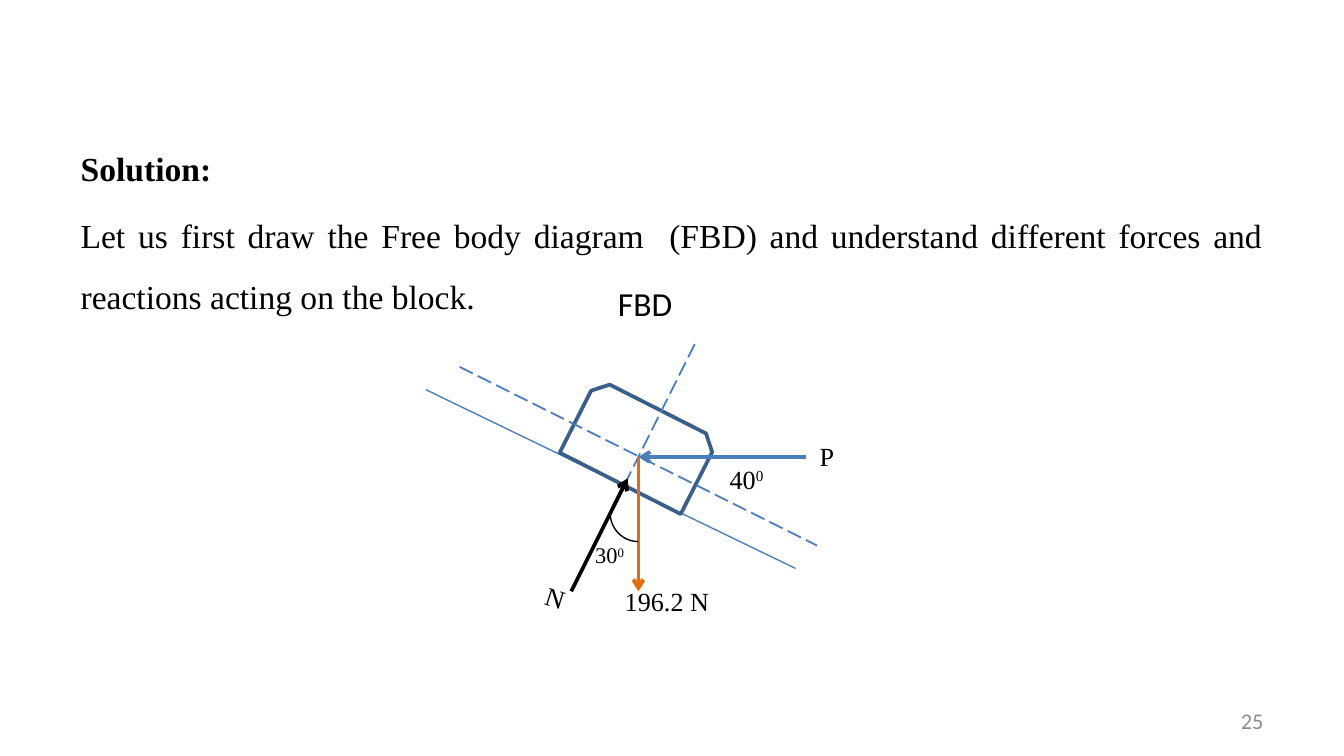
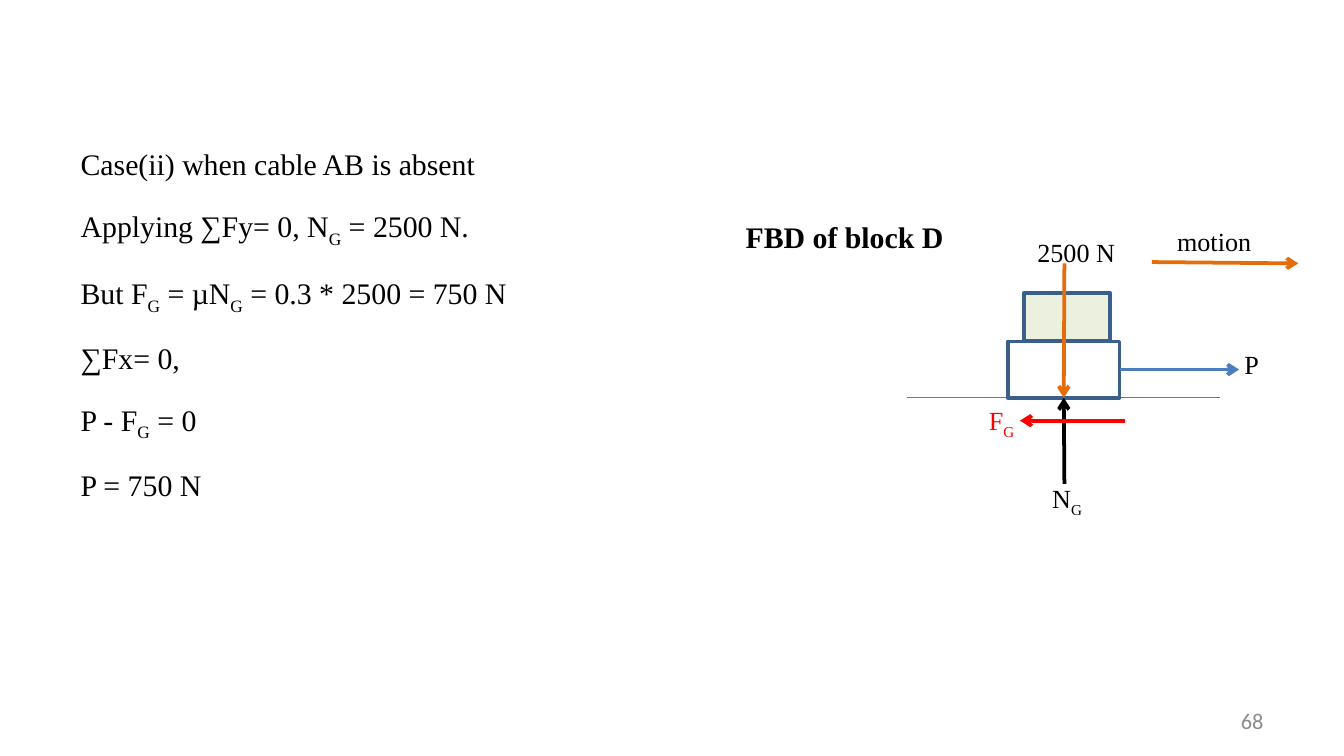
from lxml import etree
from pptx import Presentation, util as u
from pptx.dml.color import RGBColor
from pptx.enum import dml, shapes, text
from pptx.oxml.ns import qn

PX = 9144  # EMU per px, 100 px to the inch

BLACK = RGBColor(0x00, 0x00, 0x00)
WHITE = RGBColor(0xFF, 0xFF, 0xFF)
GREY = RGBColor(0x8C, 0x8C, 0x8C)
BLUE = RGBColor(0x4B, 0x7E, 0xBC)
NAVY = RGBColor(0x3A, 0x5F, 0x8C)
ORANGE = RGBColor(0xE4, 0x6C, 0x0A)
RED = RGBColor(0xFF, 0x00, 0x00)
PALE_GREEN = RGBColor(0xEB, 0xF1, 0xDE)

SERIF, SANS = "Times New Roman", "Calibri"
SUPER, SUB = 30, -25
BOTTOM, RIGHT = 2, 3


def write(paragraph, words, size=14, font=SERIF, color=BLACK, bold=False,
          align=None, script=SUB):
    """Fill a paragraph; parts between bars are raised or lowered by script %."""
    paragraph.alignment = align
    for i, part in enumerate(words.split("|")):
        if not part:
            continue
        run = paragraph.add_run()
        run.text = part
        run.font.size, run.font.name, run.font.bold = u.Pt(size), font, bold
        run.font.color.rgb = color
        if i % 2:
            run.font._element.set("baseline", str(script * 1000))


class Deck:
    def __init__(self):
        self.prs = Presentation()
        self.prs.slide_width = 1000 * PX
        self.prs.slide_height = self.prs.slide_width * 9 // 16
        self.slide = None

    def new_slide(self, number):
        self.slide = self.prs.slides.add_slide(self.prs.slide_layouts[1])
        heading = self.slide.shapes.title._element
        heading.getparent().remove(heading)
        page = self.label(717, 521, 233, 30, str(number), size=12, font=SANS,
                          color=GREY, align=text.PP_ALIGN.RIGHT)
        page.text_frame.auto_size = text.MSO_AUTO_SIZE.NONE
        page.text_frame.vertical_anchor = text.MSO_ANCHOR.MIDDLE

    def body(self, lines, size, bold_first=False):
        holder = self.slide.placeholders[1]
        holder.left, holder.top = 50 * PX, 90 * PX
        holder.width, holder.height = 900 * PX, 413 * PX
        frame = holder.text_frame
        frame.auto_size = text.MSO_AUTO_SIZE.NONE
        for i, line in enumerate(lines):
            paragraph = frame.add_paragraph() if i else frame.paragraphs[0]
            props = paragraph._p.get_or_add_pPr()
            props.set("marL", "0")
            props.set("indent", "0")
            etree.SubElement(props, qn("a:buNone"))
            paragraph.line_spacing = 1.5
            paragraph.space_before = u.Pt(0.2 * size if i else 0)
            write(paragraph, line, size=size, bold=bold_first and i == 0,
                  align=text.PP_ALIGN.JUSTIFY)

    def label(self, x, y, w, h, words, turn=0, **style):
        box = self.slide.shapes.add_textbox(x * PX, y * PX, w * PX, h * PX)
        box.rotation = turn
        box.text_frame.word_wrap = True
        box.text_frame.auto_size = text.MSO_AUTO_SIZE.SHAPE_TO_FIT_TEXT
        write(box.text_frame.paragraphs[0], words, **style)
        return box

    def shape(self, kind, x, y, w, h, fill=WHITE, color=NAVY, weight=2, turn=0):
        figure = self.slide.shapes.add_shape(kind, x * PX, y * PX, w * PX, h * PX)
        figure.shadow.inherit = False
        figure.rotation = turn
        if fill is None:
            figure.fill.background()
        else:
            figure.fill.solid()
            figure.fill.fore_color.rgb = fill
        figure.line.color.rgb, figure.line.width = color, u.Pt(weight)
        return figure

    def line(self, x1, y1, x2, y2, color=BLUE, weight=0.75, dash=None):
        link = self.slide.shapes.add_connector(
            shapes.MSO_CONNECTOR.STRAIGHT, x1 * PX, y1 * PX, x2 * PX, y2 * PX)
        link.line.color.rgb, link.line.width = color, u.Pt(weight)
        if dash:
            link.line.dash_style = dash
        etree.SubElement(link._element.spPr, qn("a:effectLst"))
        return link

    def axis(self, *ends):
        return self.line(*ends, weight=1, dash=dml.MSO_LINE.LONG_DASH)

    def force(self, *ends, color):
        """Draw a force arrow pointing at the second end."""
        arrow = self.line(*ends, color=color, weight=2)
        etree.SubElement(arrow.line._get_or_add_ln(), qn("a:tailEnd"), type="arrow")
        return arrow


def inclined_block(deck):
    deck.new_slide(25)
    deck.body(["Solution:",
               "Let us first draw the Free body diagram  (FBD) and understand "
               "different forces and reactions acting on the block."],
              size=18, bold_first=True)
    deck.line(317, 290, 592, 423)
    deck.label(600, 323, 33, 33, "P")
    deck.label(450, 206, 67, 40, "FBD", size=18, font=SANS)
    deck.label(455, 431, 128, 34, "196.2 N")
    deck.label(396, 430, 50, 34, "N", turn=17.4)
    deck.shape(shapes.MSO_SHAPE.SNIP_2_SAME_RECTANGLE, 425, 301, 101, 62, turn=26.9)

    center = (475, 340)
    deck.axis(342, 273, 608, 406)
    deck.force(600, 340, *center, color=BLUE)
    deck.axis(517, 256, 442, 406)
    deck.force(425, 440, 467, 356, color=BLACK)
    deck.force(*center, 475, 440, color=ORANGE)
    deck.label(533, 340, 58, 34, "40|0|", script=SUPER)
    angle = deck.shape(shapes.MSO_SHAPE.ARC, 454, 361, 42, 42, fill=None,
                       color=BLACK, weight=0.75, turn=165.7)
    angle.adjustments[0], angle.adjustments[1] = 170.96, 7.1
    deck.label(433, 398, 58, 30, "30|0|", size=12, script=SUPER)


def block_without_cable(deck):
    deck.new_slide(68)
    deck.body(["Case(ii) when cable AB is absent",
               "Applying ∑Fy= 0, N|G| = 2500 N.",
               "But F|G| = µN|G| = 0.3 * 2500 = 750 N",
               "∑Fx= 0,",
               "P - F|G| = 0",
               "P = 750 N"], size=16)
    deck.line(675, 296, 908, 296)
    deck.label(916, 254, 82, 34, "P")
    deck.label(762, 171, 83, 34, "2500 N")
    deck.label(726, 296, 50, 34, "F|G|", color=RED)
    deck.label(773, 354, 50, 34, "N|G|")
    deck.label(866, 163, 114, 34, "motion")
    deck.label(545, 158, 183, 37, "FBD of block D", size=16, bold=True)

    block_d = deck.shape(shapes.MSO_SHAPE.RECTANGLE, 750, 254, 83, 42)
    deck.shape(shapes.MSO_SHAPE.RECTANGLE, 762, 218, 64, 36, fill=PALE_GREEN)
    pull = deck.force(833, 275, 922, 275, color=BLUE)
    pull.begin_connect(block_d, RIGHT)
    reaction = deck.force(792, 360, 792, 296, color=BLACK)
    weight = deck.force(792, 196, 792, 296, color=ORANGE)
    for arrow in (reaction, weight):
        arrow.end_connect(block_d, BOTTOM)
    deck.force(837, 313, 759, 313, color=RED)
    deck.force(857, 195, 966, 196, color=ORANGE)


def main():
    deck = Deck()
    inclined_block(deck)
    block_without_cable(deck)
    deck.prs.save("out.pptx")


if __name__ == "__main__":
    main()
